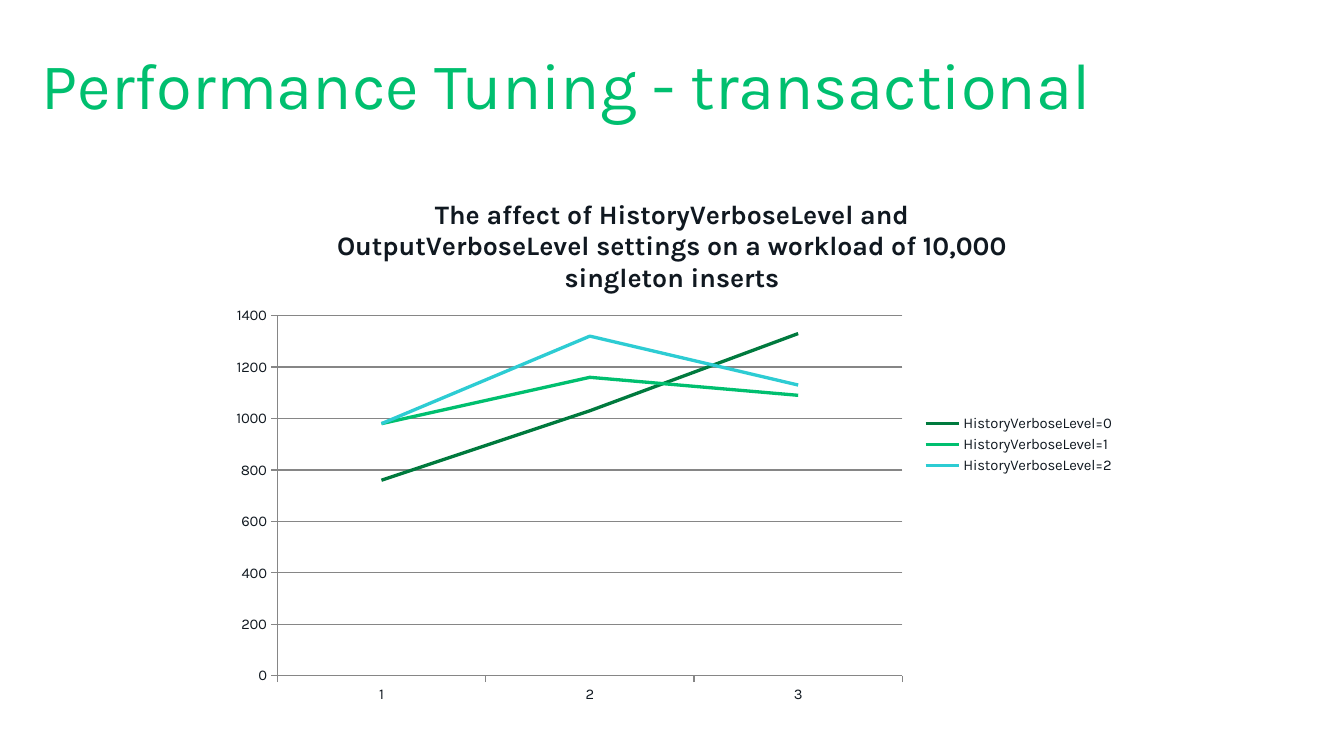
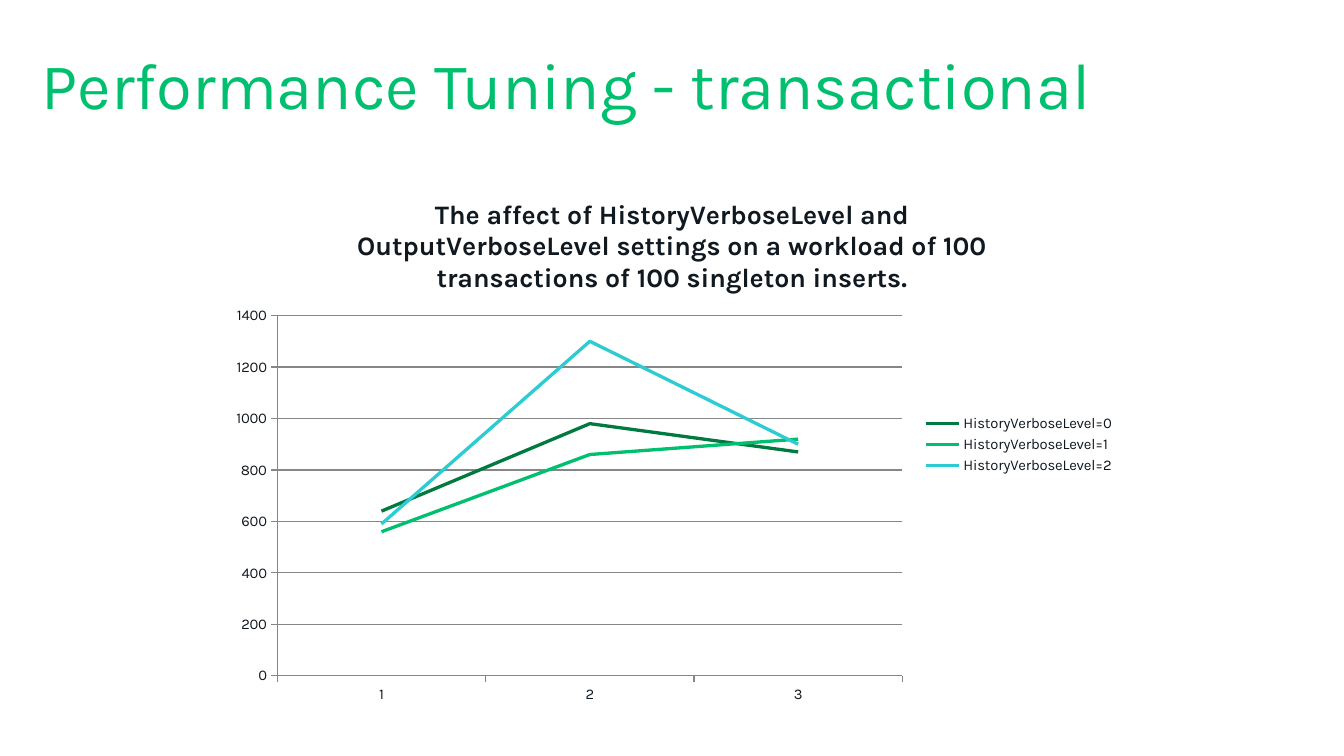
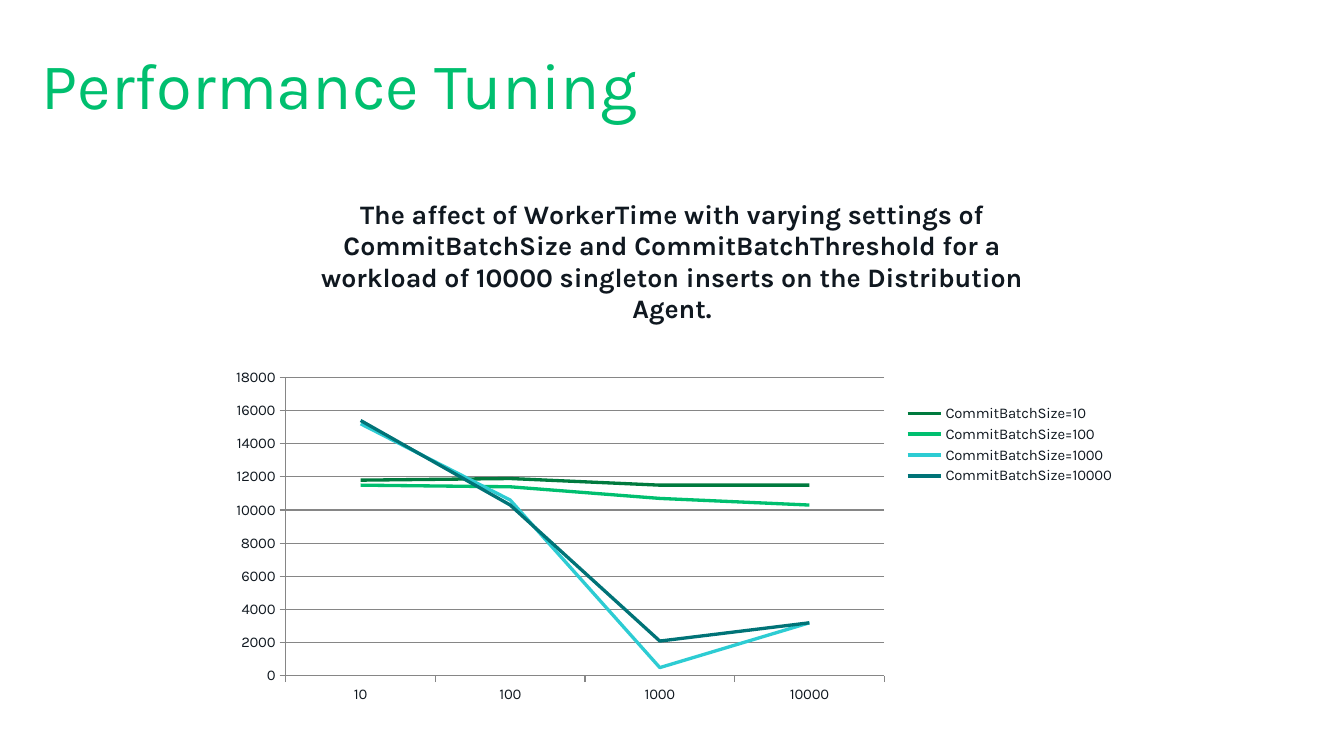
from lxml import etree
from pptx import Presentation
from pptx import util as u
from pptx.chart import data as chart_data
from pptx.dml import color
from pptx.enum import chart as charts, text

PX = 9144  # one px is a hundredth of an inch
FONT = "Karla"
COLOURS = {
    "title": "00BF6F",
    "text": "101820",
    "grid": "868686",
    "series": ["007A3E", "00BF6F", "2DCCD3", "007377"],
}
TITLE_BOX = (39, 39, 1181, 79)
CHART_BOX = (205, 165, 850, 504)
FONTS = {
    "title": {"name": FONT, "size": u.Pt(44), "bold": False},
    "chart": {"name": FONT, "size": u.Pt(10), "bold": False},
    "heading": {"name": FONT, "size": u.Pt(18), "bold": True},
}
FRAME = {
    "margin_left": 0, "margin_top": 0, "margin_right": 0, "margin_bottom": 0,
    "word_wrap": True, "vertical_anchor": text.MSO_ANCHOR.MIDDLE,
}

# Content of each slide; plot is left, top, width, height in px
PAGES = [
    {
        "title": "Performance Tuning - transactional",
        "heading": "The affect of HistoryVerboseLevel and OutputVerboseLevel "
                   "settings on a workload of 10,000 singleton inserts",
        "plot": (260, 296, 586, 338),
        "top": 1400, "step": 200,
        "categories": ["1", "2", "3"],
        "setting": "HistoryVerboseLevel",
        "series": {0: (760, 1030, 1330), 1: (980, 1160, 1090), 2: (980, 1320, 1130)},
    },
    {
        "title": "Performance Tuning - transactional",
        "heading": "The affect of HistoryVerboseLevel and OutputVerboseLevel "
                   "settings on a workload of 100 transactions of 100 singleton inserts.",
        "plot": (260, 296, 586, 338),
        "top": 1400, "step": 200,
        "categories": ["1", "2", "3"],
        "setting": "HistoryVerboseLevel",
        "series": {0: (640, 980, 870), 1: (560, 860, 920), 2: (590, 1300, 900)},
    },
    {
        "title": "Performance Tuning",
        "heading": "The affect of WorkerTime with varying settings of CommitBatchSize "
                   "and CommitBatchThreshold for a workload of 10000 singleton inserts "
                   "on the Distribution Agent.",
        "plot": (268, 354, 561, 280),
        "top": 18000, "step": 2000,
        "categories": ["10", "100", "1000", "10000"],
        "setting": "CommitBatchSize",
        "series": {
            10: (11800, 11900, 11500, 11500),
            100: (11500, 11400, 10700, 10300),
            1000: (15200, 10600, 500, 3200),
            10000: (15400, 10300, 2100, 3200),
        },
    },
]


def style_font(font, style, colour):
    for name, value in FONTS[style].items():
        setattr(font, name, value)
    font.color.rgb = color.RGBColor.from_string(COLOURS[colour])


def style_line(line, colour, points):
    line.color.rgb = color.RGBColor.from_string(colour)
    line.width = u.Pt(points)


deck = Presentation()
deck.slide_width, deck.slide_height = 1260 * PX, 709 * PX

for content in PAGES:
    page = deck.slides.add_slide(deck.slide_layouts[6])

    # Slide title
    box = page.shapes.add_textbox(*(length * PX for length in TITLE_BOX))
    for name, value in FRAME.items():
        setattr(box.text_frame, name, value)
    span = box.text_frame.paragraphs[0].add_run()
    span.text = content["title"]
    style_font(span.font, "title", "title")

    # Line chart
    table = chart_data.CategoryChartData()
    table.categories = content["categories"]
    for level, values in content["series"].items():
        table.add_series(f"{content['setting']}={level}", values)
    chart = page.shapes.add_chart(
        charts.XL_CHART_TYPE.LINE, *(length * PX for length in CHART_BOX), table
    ).chart
    style_font(chart.font, "chart", "text")
    chart.plots[0].vary_by_categories = False
    for series, colour in zip(chart.plots[0].series, COLOURS["series"]):
        series.smooth = False
        series.marker.style = charts.XL_MARKER_STYLE.NONE
        style_line(series.format.line, colour, 2.25)

    # Chart heading and legend
    chart.has_title = True
    span = chart.chart_title.text_frame.paragraphs[0].add_run()
    span.text = content["heading"]
    style_font(span.font, "heading", "text")
    chart.chart_title.include_in_layout = False
    chart.has_legend = True
    chart.legend.position = charts.XL_LEGEND_POSITION.RIGHT
    chart.legend.include_in_layout = False

    # Axes
    for axis in (chart.category_axis, chart.value_axis):
        axis.major_tick_mark = charts.XL_TICK_MARK.OUTSIDE
        axis.minor_tick_mark = charts.XL_TICK_MARK.NONE
        style_line(axis.format.line, COLOURS["grid"], 0.75)
    scale = chart.value_axis
    scale.minimum_scale, scale.maximum_scale = 0, content["top"]
    scale.major_unit = content["step"]
    scale.has_major_gridlines = True
    style_line(scale.major_gridlines.format.line, COLOURS["grid"], 0.75)

    # Plot area, as shares of the chart box
    left, top, width, height = content["plot"]
    chart_left, chart_top, chart_width, chart_height = CHART_BOX
    shares = {
        "layoutTarget": "inner", "xMode": "edge", "yMode": "edge",
        "x": (left - chart_left) / chart_width,
        "y": (top - chart_top) / chart_height,
        "w": width / chart_width,
        "h": height / chart_height,
    }
    area = chart.element.xpath("c:chart/c:plotArea")[0]
    for old in area.xpath("c:layout"):
        area.remove(old)
    prefix = "{" + area.nsmap["c"] + "}"
    layout = etree.Element(prefix + "layout")
    manual = etree.SubElement(layout, prefix + "manualLayout")
    for name, value in shares.items():
        etree.SubElement(manual, prefix + name, val=str(value))
    area.insert(0, layout)

deck.save("out.pptx")
